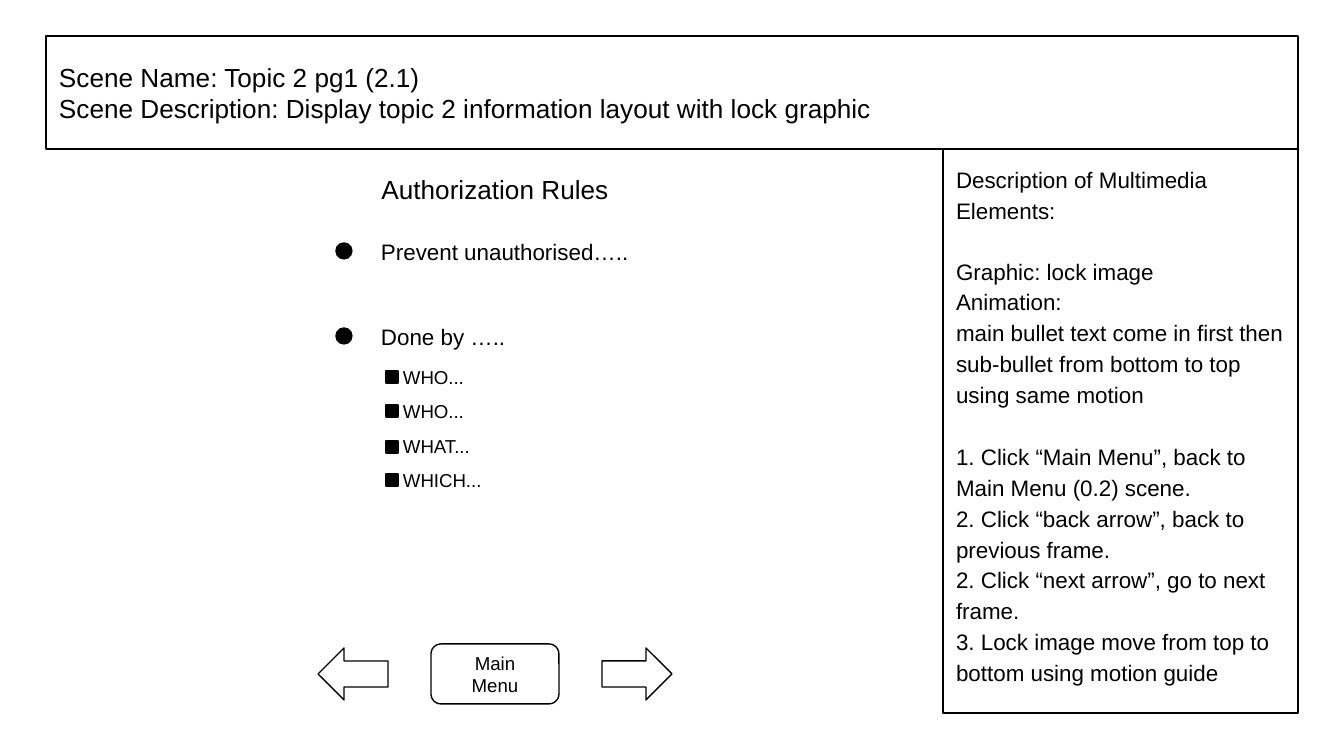
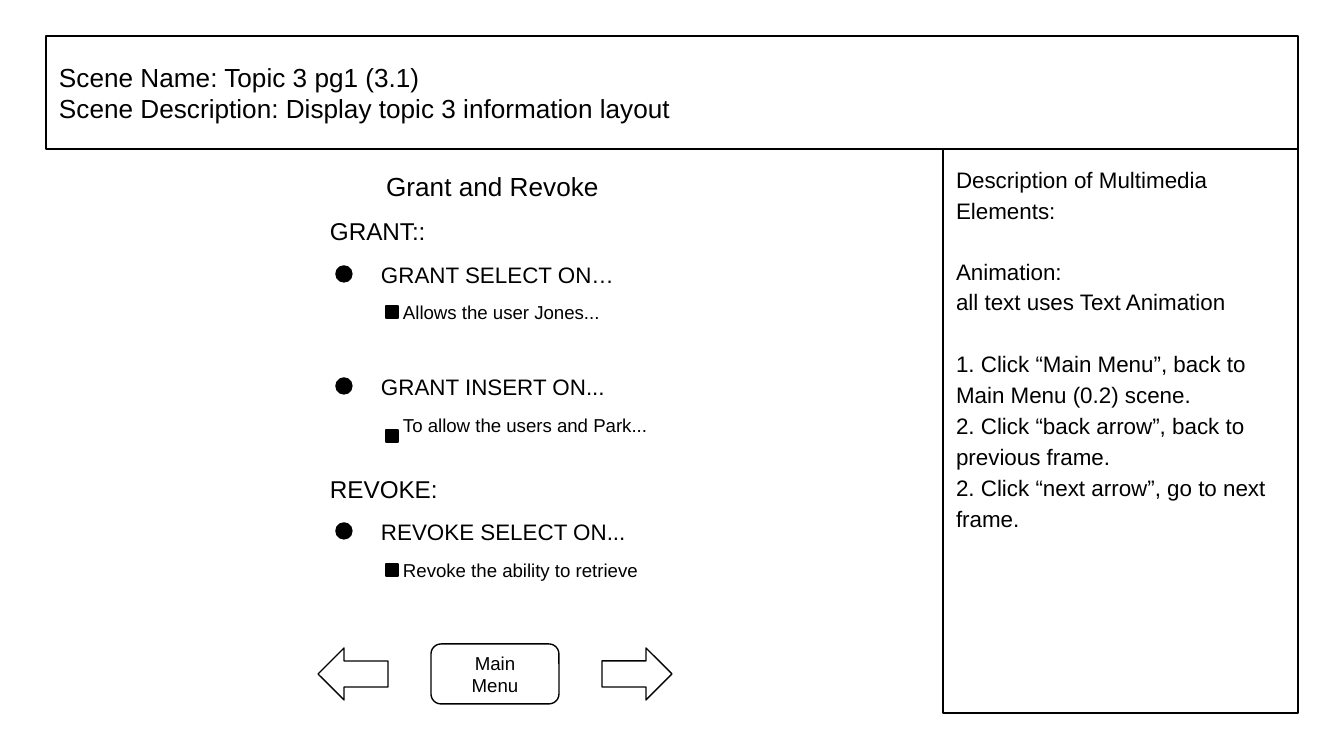
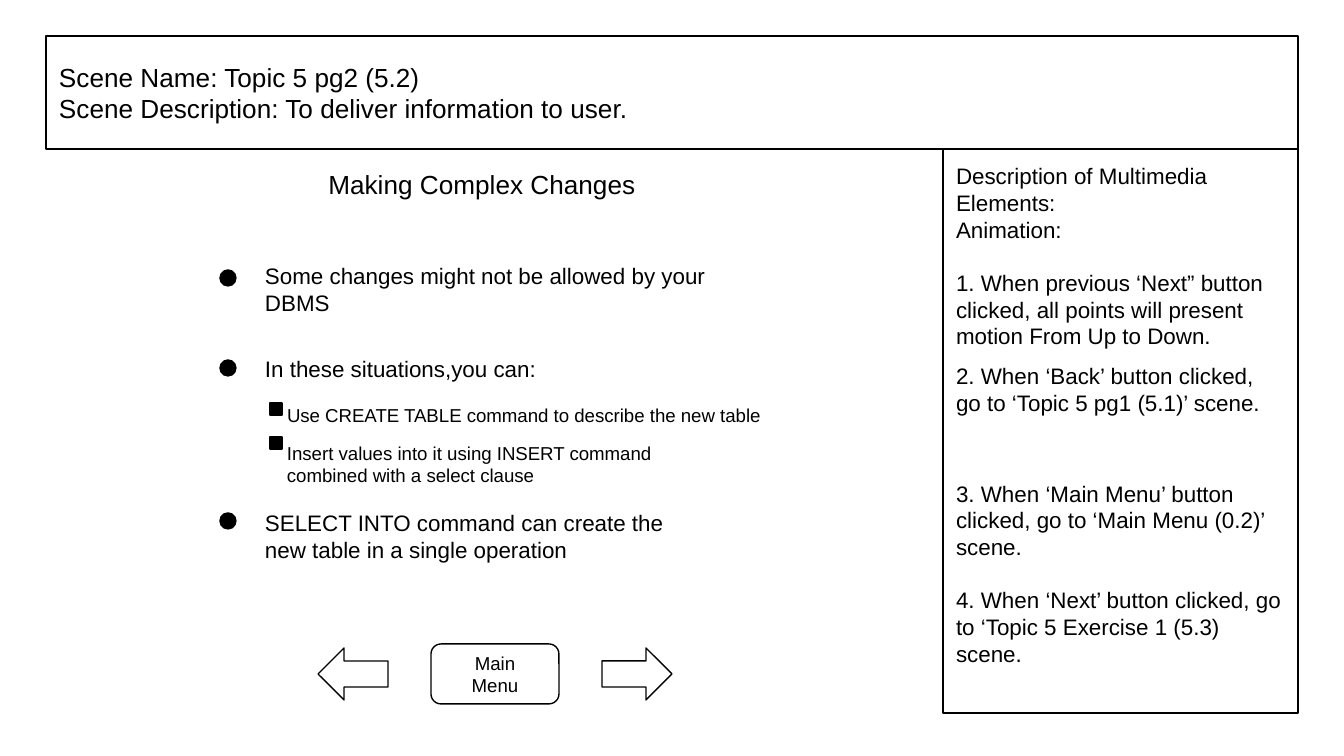
from lxml.etree import SubElement
from pptx import Presentation
from pptx.dml.color import RGBColor
from pptx.enum.shapes import MSO_SHAPE
from pptx.enum.text import MSO_ANCHOR, MSO_AUTO_SIZE, PP_ALIGN
from pptx.oxml.ns import qn
from pptx.util import Pt

EMU_PER_PX = 914400 / 134.4
PAGE_SIZE = (1344, 756)
BLACK = "000000"
FONT = "Arial"
INSET = 13

HEADER = (46, 36, 1252, 113)
SIDEBAR = (943, 149, 355, 564)
NAV_CENTER, NAV_MIDDLE = 495, 674
MENU_SIZE, MENU_LABEL_SIZE, ARROW_SIZE = (128, 60), (102, 36), (70, 52)
ARROW_OFFSET = 142

MARKERS = {
    "dot": dict(kind=MSO_SHAPE.OVAL, side=16, indent=0, text_indent=32, size=12, height=47),
    "square": dict(kind=MSO_SHAPE.RECTANGLE, side=12, indent=50, text_indent=54, size=10, height=31),
}
ROW_WIDTH = 472
LABEL_LEFT, LABEL_SIZE = 317, (142, 52)

MENU_STEPS = [
    ("1. Click “Main Menu”, back to Main Menu (0.2) scene.", 16.5),
    ("2. Click “back arrow”, back to previous frame.", 0),
    ("2. Click “next arrow”, go to next frame.", 0),
]

SCENES = [
    dict(
        name="Topic 2 pg1 (2.1)",
        description="Display topic 2 information layout with lock graphic",
        spacing=1.15,
        notes=[
            ("Description of Multimedia Elements:", 0),
            ("Graphic: lock image", 16),
            ("Animation:", 0),
            ("main bullet text come in first then sub-bullet from bottom to top using same motion", 0),
            *MENU_STEPS,
            ("3. Lock image move from top to bottom using motion guide", 0),
        ],
        heading=("Authorization Rules", (360, 159, 270, 60), INSET),
        labels=[],
        left=336,
        rows=[
            ("dot", 243, 228, "Prevent unauthorised…..", {}),
            ("dot", 328, 313, "Done by …..", {}),
            ("square", 371, 362, "WHO...", {}),
            ("square", 405, 396, "WHO...", {}),
            ("square", 441, 431, "WHAT...", {}),
            ("square", 474, 465, "WHICH...", {}),
        ],
    ),
    dict(
        name="Topic 3 pg1 (3.1)",
        description="Display topic 3 information layout",
        spacing=1.15,
        notes=[
            ("Description of Multimedia Elements:", 0),
            ("Animation:", 16),
            ("all text uses Text Animation", 0),
            *MENU_STEPS,
        ],
        heading=("Grant and Revoke", (370, 156, 245, 60), INSET),
        labels=[(203, "GRANT::"), (461, "REVOKE:")],
        left=336,
        rows=[
            ("dot", 266, 251, "GRANT SELECT ON…", {}),
            ("square", 306, 297, "Allows the user Jones...", {}),
            ("dot", 378, 363, "GRANT INSERT ON...", {}),
            ("square", 430, 410, "To allow the users and Park...", {}),
            ("dot", 523, 508, "REVOKE SELECT ON...", {}),
            ("square", 564, 555, "Revoke the ability to retrieve", {}),
        ],
    ),
    dict(
        name="Topic 5 pg2 (5.2)",
        description="To deliver information to user.",
        spacing=1,
        notes=[
            ("Description of Multimedia Elements:", 0),
            ("Animation:", 0),
            ("1. When previous ‘Next” button clicked, all points will present motion From Up to Down.", 14),
            ("2. When ‘Back’ button clicked, go to ‘Topic 5 pg1 (5.1)’ scene.", 7),
            ("3. When ‘Main Menu’ button clicked, go to ‘Main Menu (0.2)’ scene.", 34),
            ("4. When ‘Next’ button clicked, go to ‘Topic 5 Exercise 1 (5.3) scene.", 14),
        ],
        heading=("Making Complex Changes", (285, 169, 394, 60), 43),
        labels=[],
        left=220,
        rows=[
            ("dot", 270, 255, "Some changes might not be allowed by your DBMS", dict(height=69)),
            ("dot", 360, 345, "In these situations,you can:", {}),
            ("square", 403, 392, "Use CREATE TABLE command to describe the new table",
             dict(height=47, width=540)),
            ("square", 437, 438, "Insert values into it using INSERT command combined with a select clause",
             dict(height=52)),
            ("dot", 513, 513, "SELECT INTO command can create the new table in a single operation", {}),
        ],
    ),
]


def px(length):
    return round(length * EMU_PER_PX)


def color(value):
    return RGBColor.from_string(value)


def centered(center, middle, size):
    width, height = size
    return center - width / 2, middle - height / 2, width, height


def place(shape, box):
    shape.left, shape.top, shape.width, shape.height = map(px, box)


def outline(shape):
    shape.line.color.rgb = color(BLACK)
    shape.line.width = Pt(0.75)


def write(shape, text, size=12, align=PP_ALIGN.LEFT, anchor=MSO_ANCHOR.MIDDLE,
          spacing=1, bottom=INSET):
    frame = shape.text_frame
    frame.word_wrap = True
    frame.auto_size = MSO_AUTO_SIZE.NONE
    frame.vertical_anchor = anchor
    frame.margin_left = frame.margin_right = frame.margin_top = px(INSET)
    frame.margin_bottom = px(bottom)
    lines = [(text, 0)] if isinstance(text, str) else text
    for index, (line, gap) in enumerate(lines):
        para = frame.add_paragraph() if index else frame.paragraphs[0]
        para.alignment = align
        para.line_spacing = spacing
        para.space_before = Pt(gap)
        para.space_after = Pt(0)
        if shape.is_placeholder:
            properties = para._p.get_or_add_pPr()
            properties.set("marL", "0")
            properties.set("indent", "0")
            SubElement(properties, qn("a:buNone"))
        span = para.add_run()
        span.text = line
        span.font.name = FONT
        span.font.size = Pt(size)
        span.font.color.rgb = color(BLACK)


def add_text(page, box, text, **style):
    write(page.shapes.add_textbox(*map(px, box)), text, **style)


def add_figure(page, kind, box, filled=False):
    shape = page.shapes.add_shape(kind, *map(px, box))
    shape.shadow.inherit = False
    outline(shape)
    if filled:
        shape.fill.solid()
        shape.fill.fore_color.rgb = color(BLACK)
    else:
        shape.fill.background()
    return shape


def add_navigation(page):
    for side, rotation in ((1, 0), (-1, 180)):
        box = centered(NAV_CENTER + side * ARROW_OFFSET, NAV_MIDDLE, ARROW_SIZE)
        add_figure(page, MSO_SHAPE.RIGHT_ARROW, box).rotation = rotation
    add_figure(page, MSO_SHAPE.ROUNDED_RECTANGLE, centered(NAV_CENTER, NAV_MIDDLE, MENU_SIZE))
    add_text(page, centered(NAV_CENTER, NAV_MIDDLE, MENU_LABEL_SIZE), "Main Menu",
             size=10, align=PP_ALIGN.CENTER)


def add_row(page, left, marker_name, marker_top, text_top, text, size):
    marker = MARKERS[marker_name]
    side = marker["side"]
    add_figure(page, marker["kind"], (left + marker["indent"], marker_top, side, side), filled=True)
    box = (left + marker["text_indent"], text_top,
           size.get("width", ROW_WIDTH), size.get("height", marker["height"]))
    add_text(page, box, text, size=marker["size"])


def add_scene(deck, scene):
    page = deck.slides.add_slide(deck.slide_layouts[1])
    title, body = page.shapes.title, page.placeholders[1]
    for shape, box in ((title, HEADER), (body, SIDEBAR)):
        place(shape, box)
        outline(shape)
    write(title, [(f"Scene Name: {scene['name']}", 0),
                  (f"Scene Description: {scene['description']}", 0)], size=14)
    write(body, scene["notes"], anchor=MSO_ANCHOR.TOP, spacing=scene["spacing"])
    heading, box, bottom = scene["heading"]
    add_text(page, box, heading, size=14, align=PP_ALIGN.CENTER, bottom=bottom)
    for top, label in scene["labels"]:
        add_text(page, (LABEL_LEFT, top, *LABEL_SIZE), label, size=13, anchor=MSO_ANCHOR.TOP)
    for row in scene["rows"]:
        add_row(page, scene["left"], *row)
    add_navigation(page)


def main():
    deck = Presentation()
    deck.slide_width, deck.slide_height = map(px, PAGE_SIZE)
    for scene in SCENES:
        add_scene(deck, scene)
    deck.save("out.pptx")


if __name__ == "__main__":
    main()
